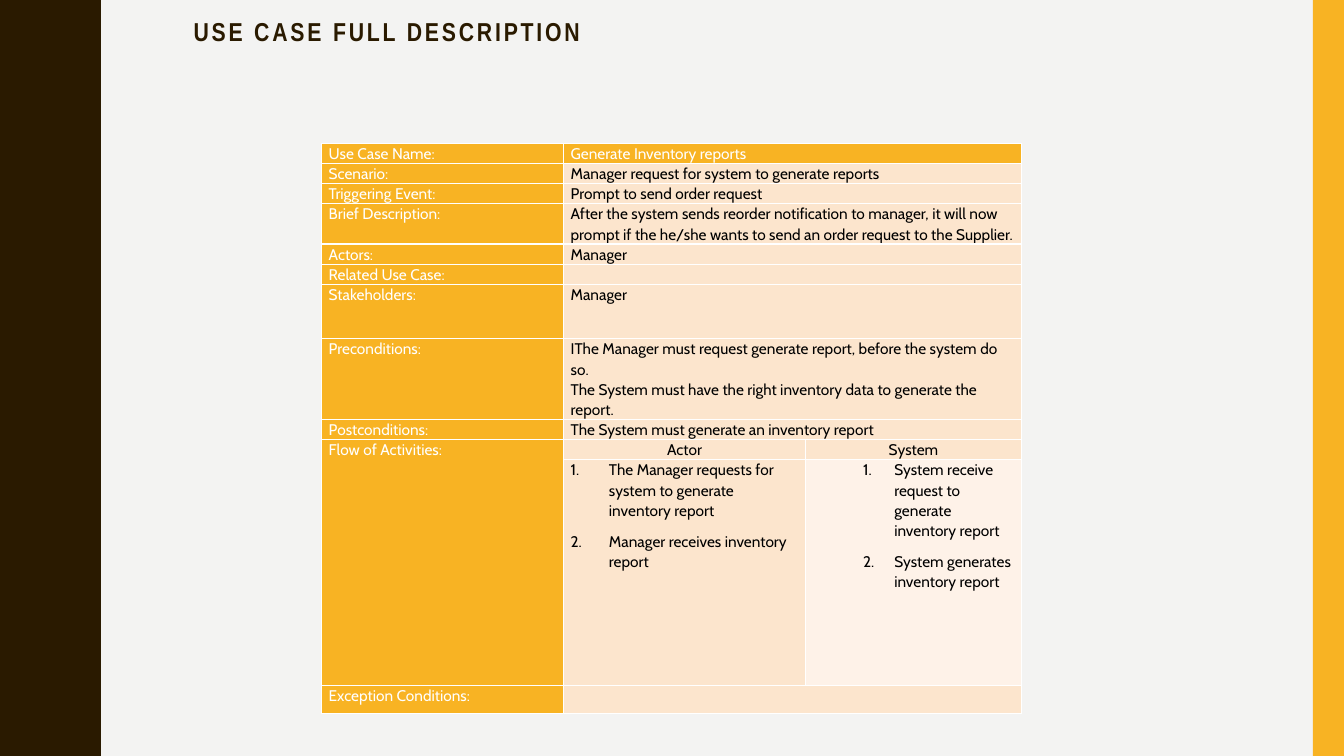
import pptx
import pptx.util
import pptx.dml.color
import pptx.enum.shapes
import pptx.enum.text
import pptx.oxml.ns
import lxml.etree

Inches = pptx.util.Inches
Pt = pptx.util.Pt
qn = pptx.oxml.ns.qn

COLORS = {
    "background": "F3F3F2",
    "brown": "2A1A00",
    "amber": "F8B323",
    "peach": "FCE5CD",
    "cream": "FEF2E8",
    "white": "FFFFFF",
    "black": "000000",
}
COLUMN_WIDTHS = [2.4, 2.4, 2.14]
DETAILS = [
    ("Use Case Name:", ["Generate Inventory reports"], 0.2),
    ("Scenario:", ["Manager request for system to generate reports"], 0.2),
    ("Triggering Event:", ["Prompt to send order request"], 0.2),
    ("Brief Description:", [
        "After the system sends reorder notification to manager, it will now "
        "prompt if the he/she wants to send an order request to the Supplier."], 0.4),
    ("Actors:", ["Manager"], 0.2),
    ("Related Use Case:", [""], 0.2),
    ("Stakeholders:", ["Manager"], 0.54),
    ("Preconditions:", [
        "IThe Manager must request generate report, before the system do so.",
        "The System must have the right inventory data to generate the report."], 0.8),
    ("Postconditions:", ["The System must generate an inventory report"], 0.2),
    ("Flow of Activities:", None, 0.2),
    ("", None, 2.24),
    ("Exception Conditions:", [""], 0.28),
]
ACTOR_STEPS = [
    "The Manager requests for system to generate inventory report",
    "Manager receives inventory report",
]
SYSTEM_STEPS = [
    "System receive request to generate inventory report",
    "System generates inventory report",
]
WAVE_QUARTER = [
    (0.78, 0), (0.78, 0.07), (0.79, 0.14), (0.8, 0.2), (0.81, 0.25), (0.83, 0.29),
    (0.85, 0.33), (0.87, 0.38), (0.89, 0.42), (0.91, 0.46), (0.93, 0.5),
    (0.95, 0.55), (0.96, 0.61), (0.97, 0.68), (0.97, 0.75),
]
WAVE_PERIOD = 1.5


def rgb(name):
    return pptx.dml.color.RGBColor.from_string(COLORS[name])


def paint(shape, color):
    shape.shadow.inherit = False
    shape.fill.solid()
    shape.fill.fore_color.rgb = rgb(color)
    shape.line.fill.background()


def add_wavy_edge(slide):
    wave = WAVE_QUARTER + [(x, WAVE_PERIOD - y) for x, y in reversed(WAVE_QUARTER[:-1])]
    edge = [(x, y + WAVE_PERIOD * turn) for turn in range(5) for x, y in wave]
    outline = slide.shapes.build_freeform(0, 0, scale=Inches(1))
    outline.add_line_segments(edge + [(0, 7.5)], close=True)
    paint(outline.convert_to_shape(), "brown")


def add_side_bar(slide):
    bar = slide.shapes.add_shape(
        pptx.enum.shapes.MSO_SHAPE.RECTANGLE,
        Inches(13.02), 0, Inches(0.31), Inches(7.5))
    paint(bar, "amber")


def style_font(paragraph, face, size, color, bold=False):
    paragraph.font.name = face
    paragraph.font.size = Pt(size)
    paragraph.font.bold = bold
    paragraph.font.color.rgb = rgb(color)


def add_title(slide, wording):
    frame = slide.shapes.add_textbox(
        Inches(1.81), 0, Inches(9.04), Inches(0.84)).text_frame
    frame.word_wrap = True
    frame.vertical_anchor = pptx.enum.text.MSO_ANCHOR.TOP
    frame.margin_left = frame.margin_right = Inches(0.11)
    frame.margin_top = frame.margin_bottom = Inches(0.11)
    heading = frame.paragraphs[0]
    heading.text = wording
    heading.line_spacing = 1.15
    style_font(heading, "Arial Narrow", 18.5, "brown", bold=True)
    heading.runs[0]._r.get_or_add_rPr().set("spc", "200")


def add_borders(cell):
    properties = cell._tc.get_or_add_tcPr()
    for position, side in enumerate(("a:lnL", "a:lnR", "a:lnT", "a:lnB")):
        line = lxml.etree.Element(qn(side), w=str(Pt(1)))
        fill = lxml.etree.SubElement(line, qn("a:solidFill"))
        lxml.etree.SubElement(fill, qn("a:srgbClr"), val=COLORS["white"])
        properties.insert(position, line)


def fill_cell(cell, lines, fill, color="black", align=None):
    cell.margin_left = cell.margin_right = Inches(0.07)
    cell.margin_top = cell.margin_bottom = 0
    cell.fill.solid()
    cell.fill.fore_color.rgb = rgb(fill)
    cell.text = "\n".join(lines)
    for paragraph in cell.text_frame.paragraphs:
        paragraph.line_spacing = 1.07
        paragraph.alignment = align
        style_font(paragraph, "Cabin", 11, color)
        if not paragraph.text:
            lxml.etree.SubElement(paragraph._p, qn("a:endParaRPr"), sz="1100")


def number_steps(cell, indent, hanging):
    for step in cell.text_frame.paragraphs:
        step.space_after = Pt(8)
        properties = step._p.get_or_add_pPr()
        properties.set("marL", str(Inches(indent)))
        properties.set("indent", str(-Inches(hanging)))
        numbering = lxml.etree.Element(qn("a:buAutoNum"), type="arabicPeriod")
        properties.find(qn("a:defRPr")).addprevious(numbering)


def fill_flow(table, top):
    center = pptx.enum.text.PP_ALIGN.CENTER
    fill_cell(table.cell(top, 1), ["Actor"], "peach", align=center)
    fill_cell(table.cell(top, 2), ["System"], "peach", align=center)
    actor, system = table.cell(top + 1, 1), table.cell(top + 1, 2)
    fill_cell(actor, ACTOR_STEPS, "peach")
    fill_cell(system, SYSTEM_STEPS, "cream")
    number_steps(actor, 0.38, 0.38)
    number_steps(system, 0.81, 0.31)


def add_use_case_table(slide):
    heights = [height for _, _, height in DETAILS]
    table = slide.shapes.add_table(
        len(DETAILS), len(COLUMN_WIDTHS), Inches(3.19), Inches(1.42),
        Inches(sum(COLUMN_WIDTHS)), Inches(sum(heights))).table
    for column, width in zip(table.columns, COLUMN_WIDTHS):
        column.width = Inches(width)
    for index, (label, description, height) in enumerate(DETAILS):
        table.rows[index].height = Inches(height)
        fill_cell(table.cell(index, 0), [label], "amber", "white")
        if description:
            header = index == 0
            table.cell(index, 1).merge(table.cell(index, 2))
            fill_cell(table.cell(index, 1), description,
                      "amber" if header else "peach",
                      "white" if header else "black")
        elif label:
            fill_flow(table, index)
            table.cell(index, 0).merge(table.cell(index + 1, 0))
    for cell in table.iter_cells():
        add_borders(cell)


def main():
    presentation = pptx.Presentation()
    presentation.slide_width = Inches(13.33)
    presentation.slide_height = Inches(7.5)
    slide = presentation.slides.add_slide(presentation.slide_layouts[6])
    slide.background.fill.solid()
    slide.background.fill.fore_color.rgb = rgb("background")
    add_wavy_edge(slide)
    add_side_bar(slide)
    add_title(slide, "USE CASE FULL DESCRIPTION")
    add_use_case_table(slide)
    presentation.save("out.pptx")


main()
